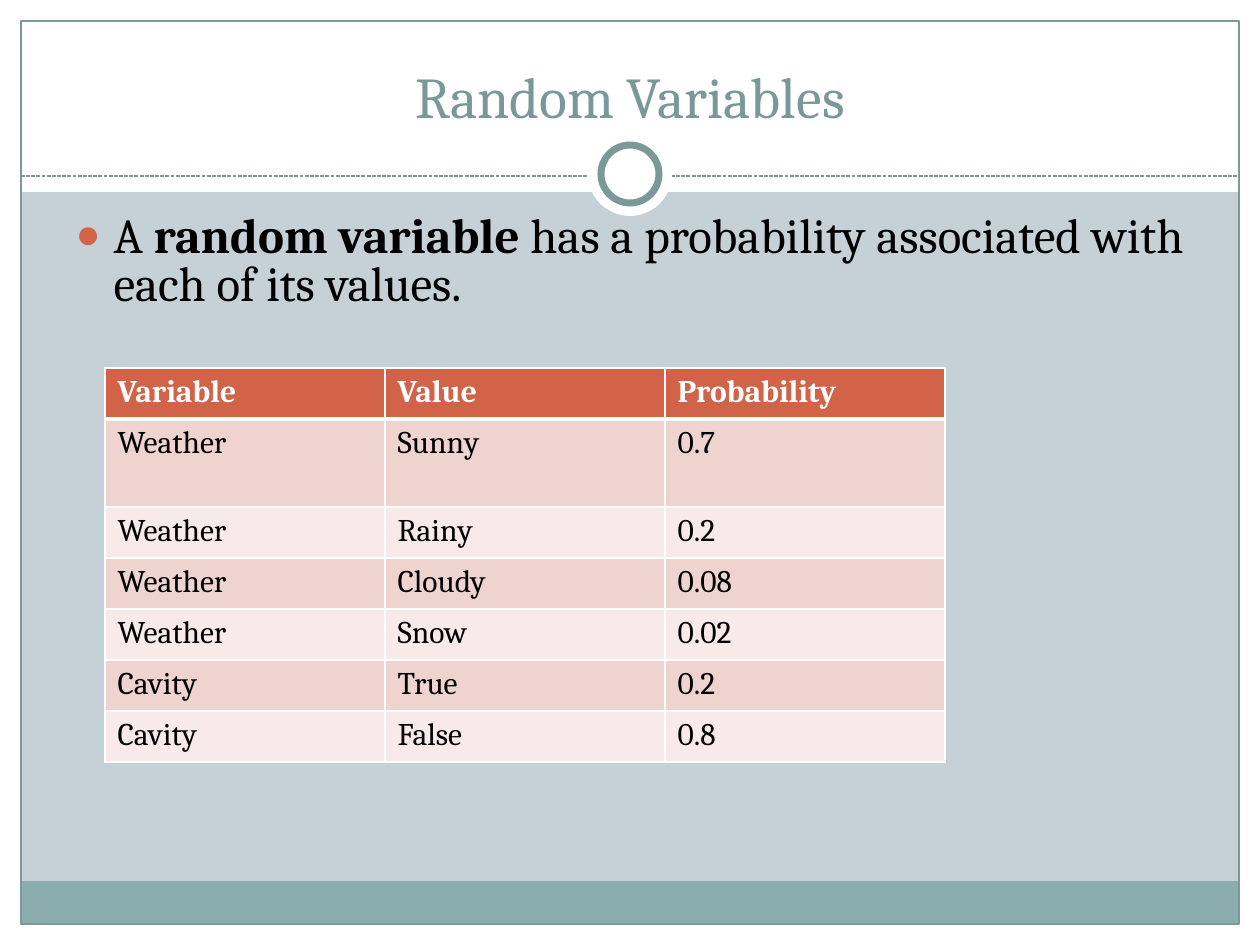
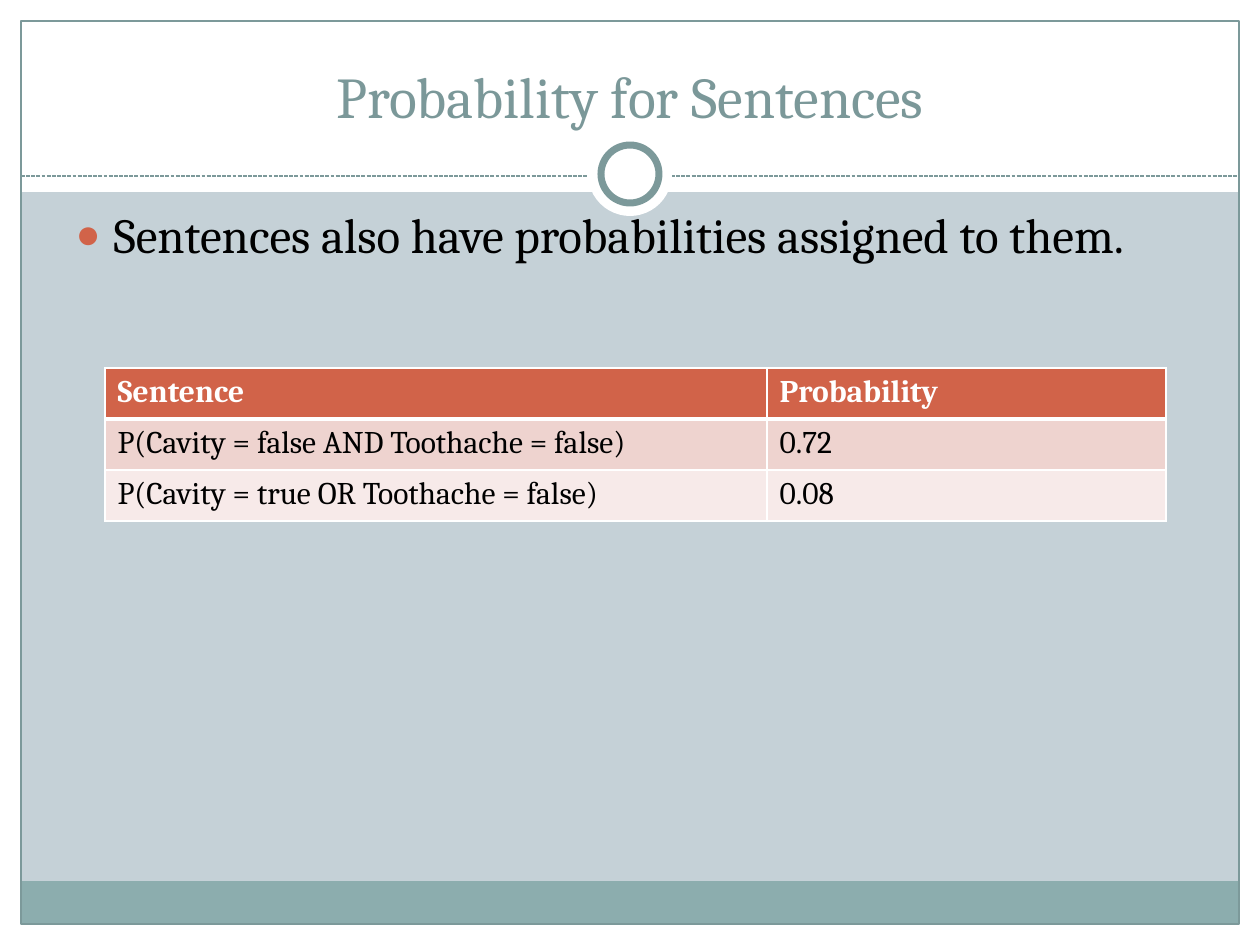
from lxml.etree import SubElement
from pptx import Presentation
from pptx.dml.color import RGBColor
from pptx.enum.dml import MSO_LINE
from pptx.enum.shapes import MSO_CONNECTOR, MSO_SHAPE
from pptx.enum.text import MSO_ANCHOR, MSO_AUTO_SIZE, PP_ALIGN
from pptx.oxml.ns import qn
from pptx.util import Emu, Pt

PAGES = [
    {
        "title": "Random Variables",
        "bullet": [
            ("A ", False),
            ("random variable ", True),
            ("has a probability associated with each of its values.", False),
        ],
        "columns": [280, 280, 280],
        "tall_rows": {1: 88},
        "rows": [
            ("Variable", "Value", "Probability"),
            ("Weather", "Sunny", "0.7"),
            ("Weather", "Rainy", "0.2"),
            ("Weather", "Cloudy", "0.08"),
            ("Weather", "Snow", "0.02"),
            ("Cavity", "True", "0.2"),
            ("Cavity", "False", "0.8"),
        ],
    },
    {
        "title": "Probability for Sentences",
        "bullet": [("Sentences also have probabilities assigned to them.", False)],
        "columns": [662, 399],
        "tall_rows": {},
        "rows": [
            ("Sentence", "Probability"),
            ("P(Cavity = false AND Toothache = false)", "0.72"),
            ("P(Cavity = true OR Toothache = false)", "0.08"),
        ],
    },
]

FONT = "Cambria"
WHITE, BLACK, ACCENT = "FFFFFF", "000000", "D16349"
BACKDROP, BAND, EDGE, TITLE_COLOR = "C5D1D7", "8CADAE", "7C999A", "7B9899"
STRIPES = ["F7EAE9", "EED3CF"]

WIDTH, HEIGHT, MARGIN = 1260, 945, 21
RIGHT, BOTTOM = WIDTH - MARGIN, HEIGHT - MARGIN
HEADER_HEIGHT, DIVIDER_Y, BAND_TOP = 192, 176, 881
RING_X, RING_Y = WIDTH // 2, 174
TITLE_BOX, BODY_BOX = (42, 31, 1176, 105), (63, 210, 1134, 746)
TABLE_LEFT, TABLE_TOP, ROW_HEIGHT = 105, 368, 51
BULLET_INDENT = 38

TITLE_STYLE = {"size": Pt(33), "bold": False}
BODY_STYLE = {"size": Pt(28)}
CELL_STYLE = {"size": Pt(18)}


def px(value):
    return Emu(round(value * 914400 / 126))


def color(code):
    return RGBColor.from_string(code)


def paint(fill, code):
    fill.solid()
    fill.fore_color.rgb = color(code)


def place(box, area):
    for name, value in zip(("left", "top", "width", "height"), area):
        setattr(box, name, px(value))


def write(para, text, code, style):
    span = para.add_run()
    span.text = text
    for name, value in {"name": FONT, **style}.items():
        setattr(span.font, name, value)
    span.font.color.rgb = color(code)


def add_frame_shape(page, kind, area, fill=None, line_width=0):
    shape = page.shapes.add_shape(kind, *map(px, area))
    shape.shadow.inherit = False
    if fill:
        paint(shape.fill, fill)
    else:
        shape.fill.background()
    if line_width:
        shape.line.color.rgb = color(EDGE)
        shape.line.width = Pt(line_width)
    else:
        shape.line.fill.background()
    return shape


def add_divider(page):
    line = page.shapes.add_connector(
        MSO_CONNECTOR.STRAIGHT, *map(px, (MARGIN, DIVIDER_Y, RIGHT, DIVIDER_Y))
    )
    line.line.color.rgb = color(EDGE)
    line.line.width = Pt(0.75)
    line.line.dash_style = MSO_LINE.SQUARE_DOT
    SubElement(line.element.spPr, qn("a:effectLst"))
    return line


def circle(radius):
    return RING_X - radius, RING_Y - radius, 2 * radius, 2 * radius


def share_frame(page):
    rectangle, oval = MSO_SHAPE.RECTANGLE, MSO_SHAPE.OVAL
    inner = RIGHT - MARGIN
    parts = [
        add_frame_shape(page, rectangle, area, fill)
        for area, fill in [
            ((0, BOTTOM, WIDTH, MARGIN), WHITE),
            ((0, 0, WIDTH, HEADER_HEIGHT), WHITE),
            ((0, 0, MARGIN, HEIGHT), WHITE),
            ((RIGHT, 0, MARGIN, HEIGHT), WHITE),
            ((MARGIN, BAND_TOP, inner, BOTTOM - BAND_TOP), BAND),
        ]
    ]
    border = (MARGIN, MARGIN, inner, BOTTOM - MARGIN)
    parts.append(add_frame_shape(page, rectangle, border, line_width=0.75))
    parts.append(add_divider(page))
    parts.append(add_frame_shape(page, oval, circle(42), WHITE))
    parts.append(add_frame_shape(page, oval, circle(29), WHITE, 4))
    layout = page.slide_layout
    paint(layout.background.fill, BACKDROP)
    for number, part in enumerate(parts, 100):
        part.element.xpath(".//p:cNvPr")[0].set("id", str(number))
        layout.shapes.element.append(part.element)


def fill_title(box, text):
    place(box, TITLE_BOX)
    frame = box.text_frame
    frame.auto_size = MSO_AUTO_SIZE.NONE
    frame.vertical_anchor = MSO_ANCHOR.BOTTOM
    para = frame.paragraphs[0]
    para.alignment = PP_ALIGN.CENTER
    write(para, text, TITLE_COLOR, TITLE_STYLE)


def fill_body(box, spans):
    place(box, BODY_BOX)
    box.text_frame.auto_size = MSO_AUTO_SIZE.NONE
    para = box.text_frame.paragraphs[0]
    para.line_spacing = 0.8
    para.space_before = Pt(5.6)
    for text, bold in spans:
        write(para, text, BLACK, {**BODY_STYLE, "bold": bold})
    props = para._p.get_or_add_pPr()
    props.set("marL", str(px(BULLET_INDENT)))
    props.set("indent", str(-px(BULLET_INDENT)))
    bullet_color = SubElement(props, qn("a:buClr"))
    SubElement(bullet_color, qn("a:srgbClr"), val=ACCENT)
    SubElement(props, qn("a:buSzPct"), val="85000")
    SubElement(props, qn("a:buChar"), char="●")


def set_borders(cell, row):
    props = cell._tc.get_or_add_tcPr()
    widths = {"L": 1, "R": 1, "T": 3 if row == 1 else 1, "B": 3 if row == 0 else 1}
    for side, width in widths.items():
        line = SubElement(props, qn("a:ln" + side), w=str(Pt(width)))
        SubElement(SubElement(line, qn("a:solidFill")), qn("a:srgbClr"), val=WHITE)


def add_probability_table(page, rows, columns, tall_rows):
    heights = [tall_rows.get(row, ROW_HEIGHT) for row in range(len(rows))]
    area = (TABLE_LEFT, TABLE_TOP, sum(columns), sum(heights))
    table = page.shapes.add_table(len(rows), len(columns), *map(px, area)).table
    for column, width in zip(table.columns, columns):
        column.width = px(width)
    for index, values in enumerate(rows):
        table.rows[index].height = px(heights[index])
        header = index == 0
        for cell, text in zip(table.rows[index].cells, values):
            set_borders(cell, index)
            paint(cell.fill, ACCENT if header else STRIPES[index % 2])
            write(cell.text_frame.paragraphs[0], text, WHITE if header else BLACK,
                  {**CELL_STYLE, "bold": header})


def main():
    deck = Presentation()
    deck.slide_width, deck.slide_height = px(WIDTH), px(HEIGHT)
    layout = deck.slide_layouts[1]
    for content in PAGES:
        page = deck.slides.add_slide(layout)
        if len(deck.slides) == 1:
            share_frame(page)
        fill_title(page.shapes.title, content["title"])
        fill_body(page.placeholders[1], content["bullet"])
        add_probability_table(page, content["rows"], content["columns"], content["tall_rows"])
    deck.save("out.pptx")


if __name__ == "__main__":
    main()
